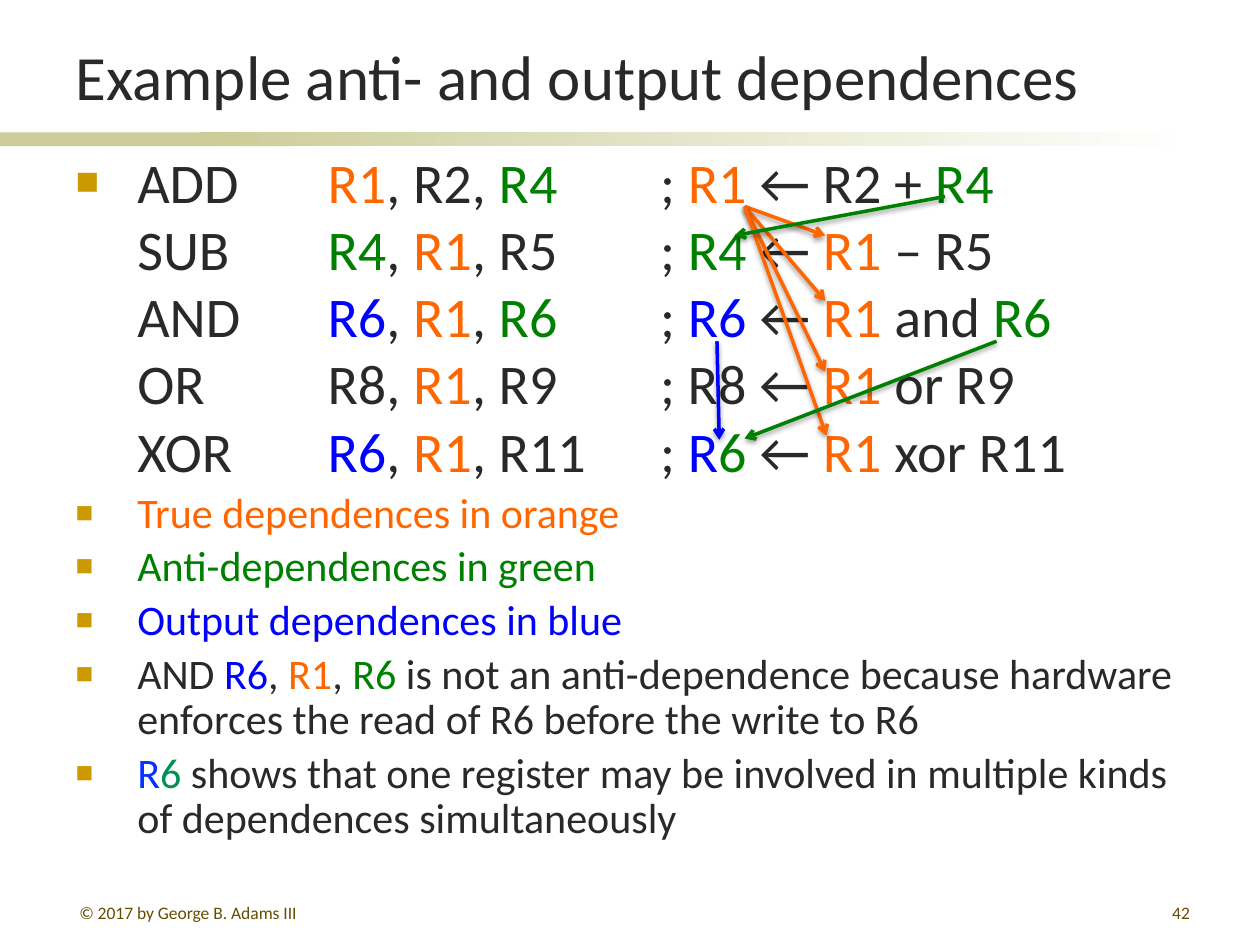
from lxml.etree import SubElement
from pptx import Presentation
from pptx.dml.color import RGBColor
from pptx.enum.shapes import MSO_CONNECTOR, MSO_SHAPE
from pptx.enum.text import MSO_ANCHOR, MSO_AUTO_SIZE, PP_ALIGN
from pptx.oxml import parse_xml
from pptx.oxml.ns import nsdecls, qn
from pptx.util import Pt

FONT = "Calibri"
COLORS = {
    "text": "292929", "footer": "664D00", "bullet": "CC9900",
    "bar": "CCCC99", "white": "FFFFFF",
    "true": "FF6600", "anti": "008000", "output": "0000FF",
    "azure": "0432FF", "teal": "009051",
}
# Bracketed text is coloured: [kind:words]
INSTRUCTIONS = [
    "ADD\t[true:R1], R2, [anti:R4]\t; [true:R1] ← R2 + [anti:R4]",
    "SUB\t[anti:R4], [true:R1], R5\t; [anti:R4] ← [true:R1] – R5",
    "AND\t[output:R6], [true:R1], [anti:R6]\t; [output:R6] ← [true:R1] and [anti:R6]",
    "OR\tR8, [true:R1], R9\t; R8 ← [true:R1] or R9",
    "XOR\t[output:R6], [true:R1], R11\t; [output:R][anti:6] ← [true:R1] xor R11",
]
NOTES = [
    "[true:True dependences in orange]",
    "[anti:Anti-dependences in green]",
    "[output:Output dependences in blue]",
    "AND [output:R6], [true:R1], [anti:R6] is not an anti-dependence because "
    "hardware enforces the read of R6 before the write to R6",
    "[azure:R][teal:6] shows that one register may be involved in multiple kinds "
    "of dependences simultaneously",
]
TAB_STOPS = (144, 334)
INDENT = 35.3
R1_RESULT = (425.5, 118)
DEPENDENCES = [
    ("output", (409.7, 195), (411, 251.3)),
    *[("true", R1_RESULT, target) for target in
      ((471.6, 134.6), (471.6, 172), (471.6, 212.4), (472.3, 249))],
    ("anti", (540, 112.3), (419.8, 134.6)),
    ("anti", (569.5, 195), (425.5, 250.6)),
]


def color(name):
    """Return the named colour."""
    return RGBColor.from_string(COLORS[name])


def place(shape, left, top, width, height):
    """Move and size a shape, in points."""
    shape.left, shape.top = Pt(left), Pt(top)
    shape.width, shape.height = Pt(width), Pt(height)


def add_run(paragraph, words, size, color_name):
    """Append one formatted run."""
    run = paragraph.add_run()
    run.text = words
    run.font.name, run.font.size = FONT, Pt(size)
    run.font.color.rgb = color(color_name)


def add_marked_text(paragraph, marked, size):
    """Append runs, colouring the bracketed parts."""
    for piece in marked.replace("]", "[").split("["):
        kind, colon, words = piece.partition(":")
        if colon:
            add_run(paragraph, words, size, kind)
        elif piece:
            add_run(paragraph, piece, size, "text")


def format_bullet(paragraph, tab_stops=()):
    """Give a paragraph its hanging indent, square bullet and tab stops."""
    properties = paragraph._p.get_or_add_pPr()
    properties.set("marL", str(Pt(INDENT)))
    properties.set("indent", str(-Pt(INDENT)))
    bullet_color = SubElement(properties, qn("a:buClr"))
    SubElement(bullet_color, qn("a:srgbClr"), val=COLORS["bullet"])
    SubElement(properties, qn("a:buSzPct"), val="70000")
    SubElement(properties, qn("a:buFont"), typeface="Arial")
    SubElement(properties, qn("a:buChar"), char="■")
    if tab_stops:
        tabs = SubElement(properties, qn("a:tabLst"))
        for stop in tab_stops:
            SubElement(tabs, qn("a:tab"), pos=str(Pt(stop)), algn="l")


def add_bar(slide, left, width, fades=False):
    """Draw one piece of the rule under the title."""
    bar = slide.shapes.add_shape(
        MSO_SHAPE.RECTANGLE, Pt(left), Pt(75.6), Pt(width), Pt(8))
    bar.shadow.inherit = False
    bar.line.fill.background()
    if fades:
        bar.fill.gradient()
        bar.fill.gradient_angle = 0
        for stop, name in zip(bar.fill.gradient_stops, ("bar", "white")):
            stop.color.rgb = color(name)
    else:
        bar.fill.solid()
        bar.fill.fore_color.rgb = color("bar")


def fill_title(title):
    """Set the slide title."""
    place(title, 36, 16, 648, 52.5)
    frame = title.text_frame
    frame.auto_size = MSO_AUTO_SIZE.NONE
    frame.vertical_anchor = MSO_ANCHOR.BOTTOM
    frame.paragraphs[0].alignment = PP_ALIGN.LEFT
    add_run(frame.paragraphs[0], "Example anti- and output dependences", 36, "text")


def fill_body(body):
    """Write the instruction listing and the notes below it."""
    place(body, 36, 80.6, 648, 432.7)
    frame = body.text_frame
    frame.auto_size = MSO_AUTO_SIZE.NONE
    listing = frame.paragraphs[0]
    listing.space_before = Pt(6.4)
    format_bullet(listing, TAB_STOPS)
    for row, instruction in enumerate(INSTRUCTIONS):
        if row:
            listing.add_line_break()
        add_marked_text(listing, instruction, 32)
    for note in NOTES:
        paragraph = frame.add_paragraph()
        paragraph.line_spacing = 0.9
        paragraph.space_before = Pt(4.8)
        format_bullet(paragraph)
        add_marked_text(paragraph, note, 24)


def add_dependence(slide, kind, start, end):
    """Draw a shadowed arrow between two registers."""
    arrow = slide.shapes.add_connector(
        MSO_CONNECTOR.STRAIGHT, *[Pt(value) for value in (*start, *end)])
    arrow.line.width = Pt(2)
    arrow.line.color.rgb = color(kind)
    SubElement(arrow.line._get_or_add_ln(), qn("a:tailEnd"), type="arrow")
    arrow._element.spPr.append(parse_xml(
        f'<a:effectLst {nsdecls("a")}>'
        f'<a:outerShdw blurRad="{Pt(3.1)}" dist="{Pt(1.6)}" dir="5400000" rotWithShape="0">'
        '<a:srgbClr val="000000"><a:alpha val="38000"/></a:srgbClr>'
        '</a:outerShdw></a:effectLst>'))


def add_footer(slide, words, left, width, alignment):
    """Add a small text at the foot of the slide."""
    box = slide.shapes.add_textbox(Pt(left), Pt(512), Pt(width), Pt(15))
    box.text_frame.word_wrap = True
    paragraph = box.text_frame.paragraphs[0]
    paragraph.alignment = alignment
    add_run(paragraph, words, 10, "footer")


def main():
    """Build and save the slide."""
    presentation = Presentation()
    presentation.slide_width, presentation.slide_height = Pt(720), Pt(540)
    slide = presentation.slides.add_slide(presentation.slide_layouts[1])
    add_bar(slide, 0, 168)
    add_bar(slide, 114, 570, fades=True)
    fill_title(slide.shapes.title)
    fill_body(slide.placeholders[1])
    for kind, start, end in DEPENDENCES:
        add_dependence(slide, kind, start, end)
    add_footer(slide, "© 2017 by George B. Adams III", 38.2, 156, PP_ALIGN.LEFT)
    add_footer(slide, "42", 537, 150, PP_ALIGN.RIGHT)
    presentation.save("out.pptx")


main()
